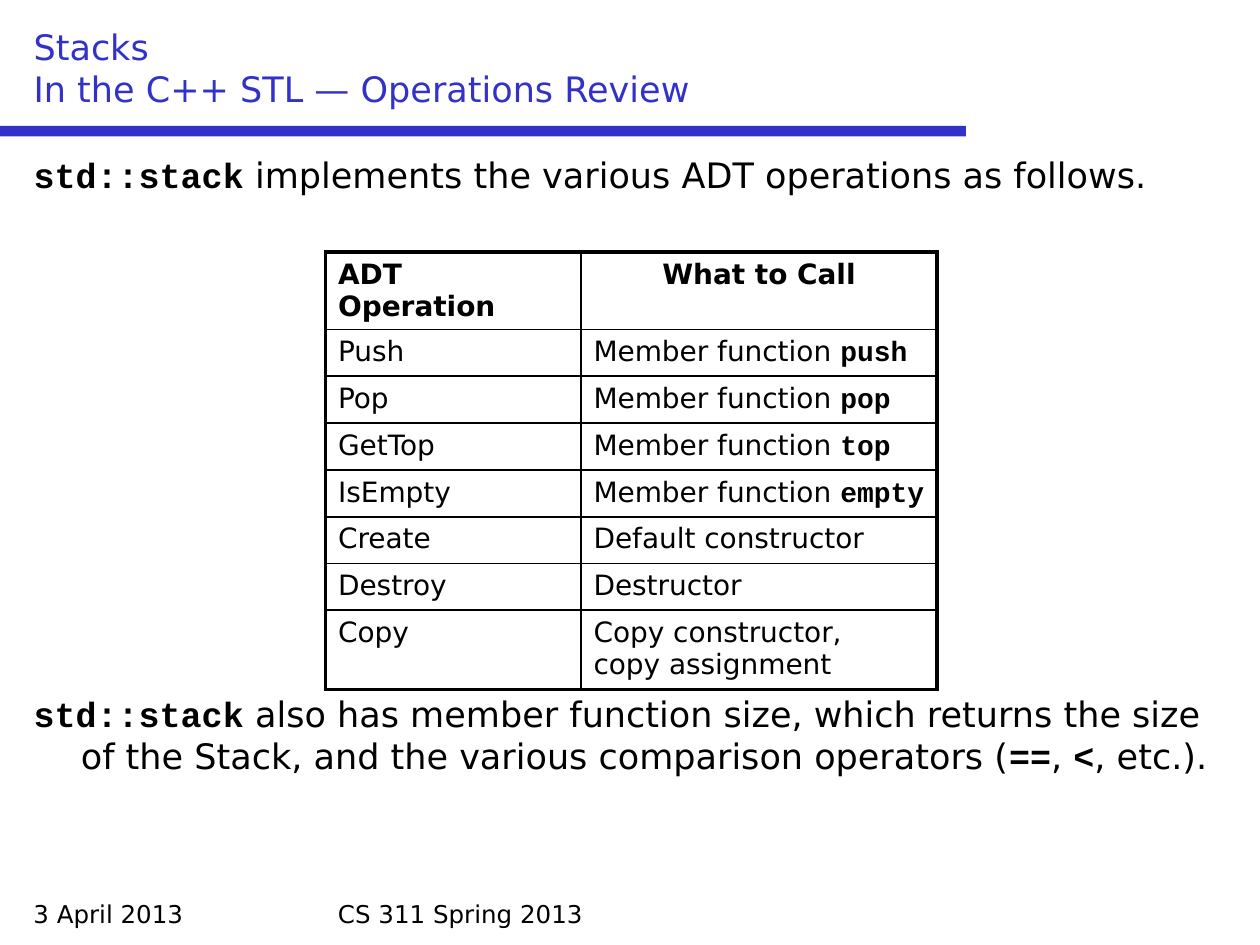
from pptx import Presentation
from pptx.dml.color import RGBColor as RGB
from pptx.enum.shapes import MSO_SHAPE as SHAPE
from pptx.enum.text import MSO_ANCHOR as ANCHOR, MSO_AUTO_SIZE as AUTO, PP_ALIGN as ALIGN
from pptx.oxml.ns import qn
from pptx.util import Pt
from lxml.etree import SubElement, Element

COLORS = {"text": "000000", "accent": "3232C8"}
SANS, MONO = "DejaVu Sans", "Courier New"
THIN, THICK = 1, 2.25

TITLE = "Stacks\nIn the C++ STL — Operations Review"
INTRO = [("std::stack", True), (" implements the various ADT operations as follows.", False)]
CLOSING = [
    ("std::stack", True),
    (" also has member function size, which returns the size of the Stack, "
     "and the various comparison operators (", False),
    ("==", True), (", ", False), ("<", True), (", etc.).", False),
]
HEADER = ("ADT Operation", "What to Call")
MEMBERS = [("Push", "push"), ("Pop", "pop"), ("GetTop", "top"), ("IsEmpty", "empty")]
OTHERS = [
    ("Create", "Default constructor"),
    ("Destroy", "Destructor"),
    ("Copy", "Copy constructor,\ncopy assignment"),
]


def write(p, runs, size, color="text", bold=False):
    for text, mono in runs:
        for i, line in enumerate(text.split("\n")):
            if i:
                p.add_line_break()
            r = p.add_run()
            r.text = line
            font = {"name": MONO if mono else SANS, "size": Pt(size), "bold": bold or mono}
            for name, value in font.items():
                setattr(r.font, name, value)
            r.font.color.rgb = RGB.from_string(COLORS[color])


def place(sp, box):
    for name, value in zip(("left", "top", "width", "height"), box):
        setattr(sp, name, Pt(value))


def frame(sp, anchor=ANCHOR.TOP):
    tf = sp.text_frame
    values = {
        "word_wrap": True, "auto_size": AUTO.NONE, "vertical_anchor": anchor,
        "margin_left": Pt(7.2), "margin_right": Pt(7.2),
        "margin_top": Pt(3.6), "margin_bottom": Pt(3.6),
    }
    for name, value in values.items():
        setattr(tf, name, value)
    return tf


def add_title(s, box):
    sp = s.shapes.title
    place(sp, box)
    p = frame(sp, ANCHOR.BOTTOM).paragraphs[0]
    p.alignment = ALIGN.LEFT
    write(p, [(TITLE, False)], 20, "accent")


def add_rule(s, box):
    sp = s.shapes.add_shape(SHAPE.RECTANGLE, *map(Pt, box))
    sp.shadow.inherit = False
    sp.fill.solid()
    sp.fill.fore_color.rgb = RGB.from_string(COLORS["accent"])
    sp.line.fill.background()


def add_body(s, box):
    sp = s.placeholders[1]
    place(sp, box)
    tf = frame(sp)
    for i, (runs, before) in enumerate([(INTRO, 4), (CLOSING, 284)]):
        p = tf.add_paragraph() if i else tf.paragraphs[0]
        p.space_before = Pt(before)
        ppr = p._p.get_or_add_pPr()
        ppr.set("marL", str(Pt(27)))
        ppr.set("indent", str(Pt(-27)))
        SubElement(ppr, qn("a:buNone"))
        write(p, runs, 20)


def set_borders(cell, widths):
    tcpr = cell._tc.get_or_add_tcPr()
    for i, (side, width) in enumerate(widths.items()):
        ln = Element(qn(f"a:ln{side}"), w=str(Pt(width)))
        fill = SubElement(ln, qn("a:solidFill"))
        SubElement(fill, qn("a:srgbClr"), val=COLORS["text"])
        tcpr.insert(i, ln)


def add_operations(s, box):
    rows = [[[(text, False)] for text in HEADER]]
    rows += [[[(op, False)], [("Member function ", False), (name, True)]] for op, name in MEMBERS]
    rows += [[[(text, False)] for text in row] for row in OTHERS]
    last = len(rows) - 1
    table = s.shapes.add_table(len(rows), 2, *map(Pt, box)).table
    table.first_row = table.horz_banding = False
    for col, width in zip(table.columns, (146, box[2] - 146)):
        col.width = Pt(width)
    for y, row in enumerate(rows):
        table.rows[y].height = Pt(45.4 if y == last else 26.6)
        for x, runs in enumerate(row):
            cell = table.cell(y, x)
            cell.fill.background()
            set_borders(cell, {
                "L": THIN if x else THICK, "R": THICK if x else THIN,
                "T": THIN if y else THICK, "B": THICK if y == last else THIN,
            })
            p = cell.text_frame.paragraphs[0]
            p.alignment = ALIGN.CENTER if (x, y) == (1, 0) else ALIGN.LEFT
            write(p, runs, 16, bold=y == 0)


def add_footer(s, box, text):
    tf = frame(s.shapes.add_textbox(*map(Pt, box)))
    write(tf.paragraphs[0], [(text, False)], 14)


def main():
    prs = Presentation()
    prs.slide_width, prs.slide_height = Pt(720), Pt(540)
    s = prs.slides.add_slide(prs.slide_layouts[1])
    add_rule(s, (0, 72, 552, 6))
    add_footer(s, (12, 510, 168, 24), "3 April 2013")
    add_footer(s, (186, 510, 348, 24), "CS 311 Spring 2013")
    add_title(s, (12, 12, 696, 54))
    add_body(s, (12, 84, 696, 420))
    add_operations(s, (186, 144, 349.5, 231.6))
    prs.save("out.pptx")


if __name__ == "__main__":
    main()
